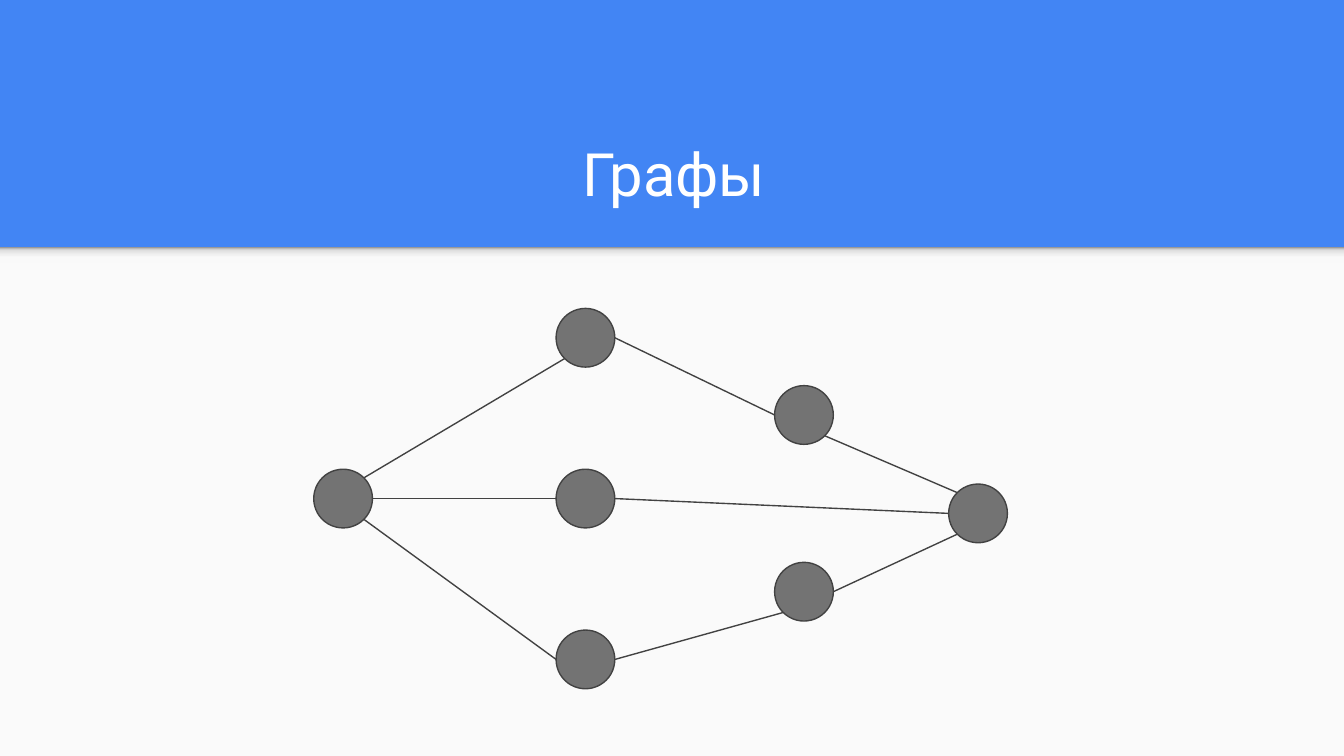
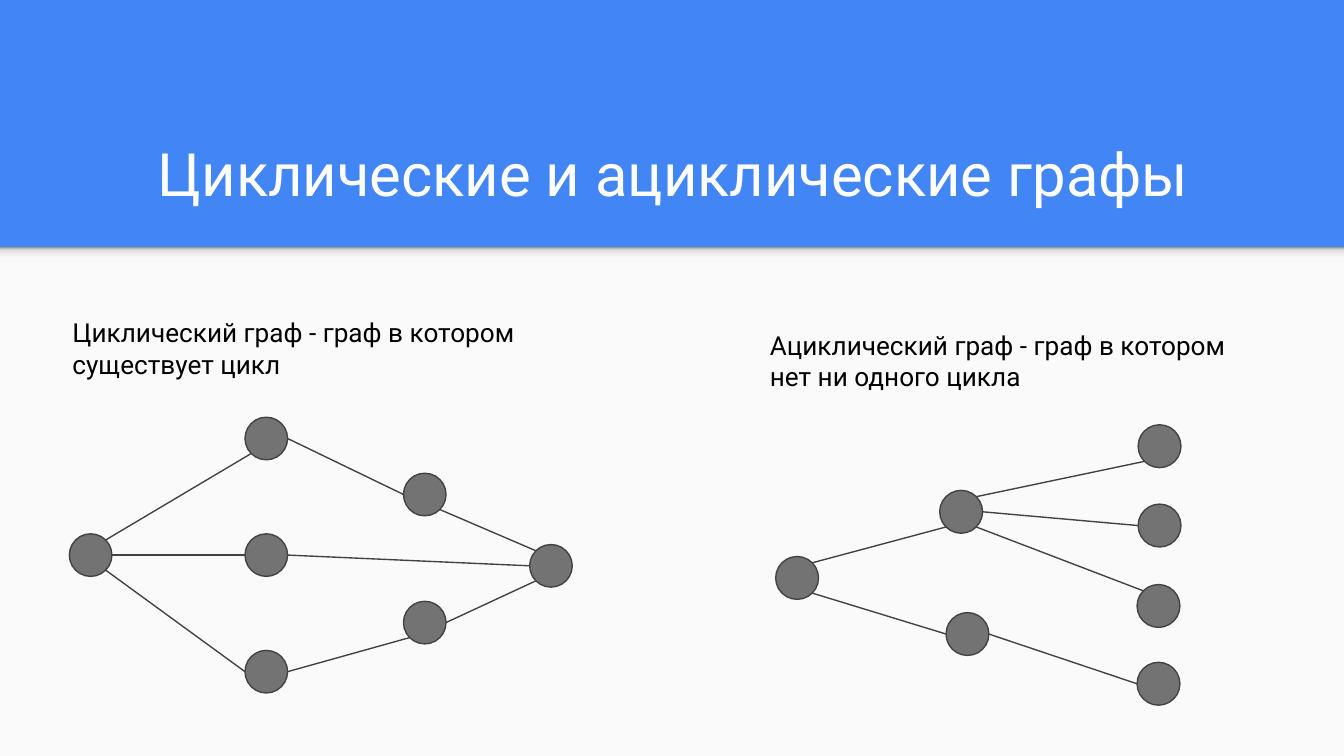
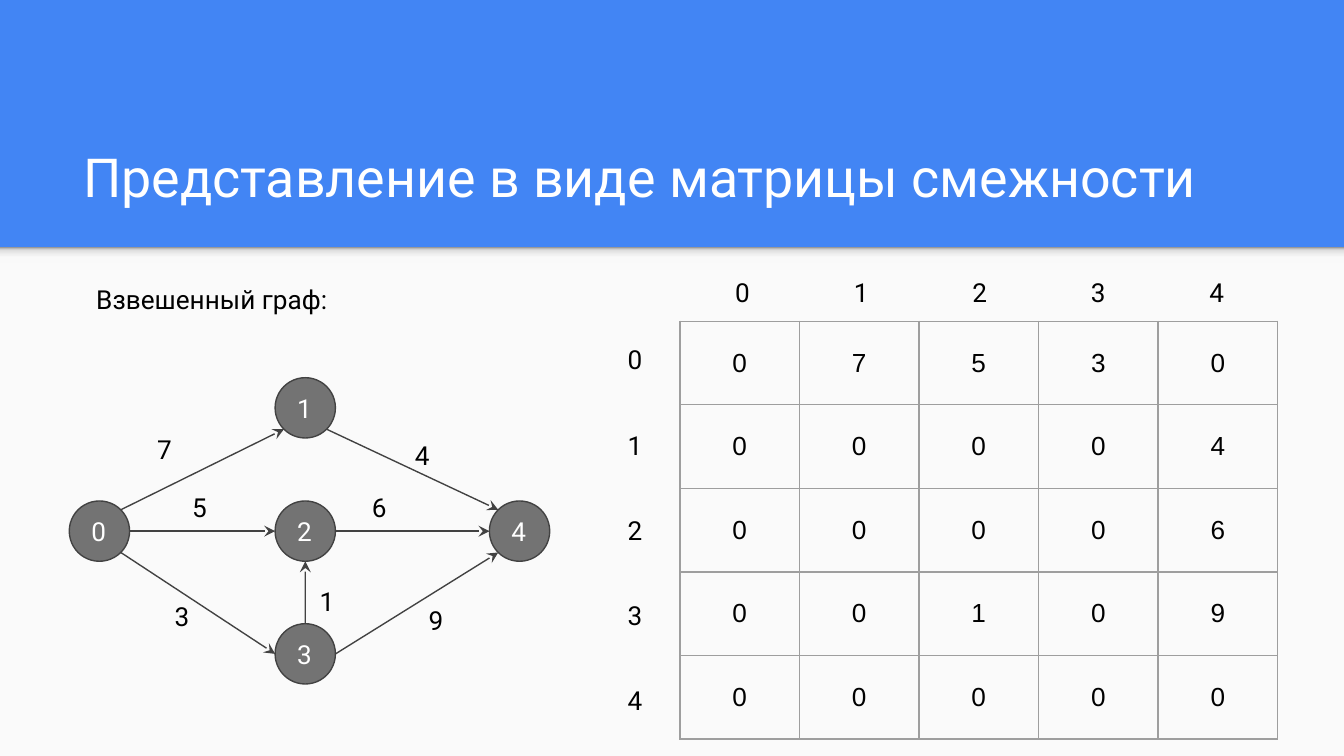
from dataclasses import dataclass
from math import cos, radians, sin

from lxml import etree
from pptx import Presentation
from pptx.dml.color import RGBColor
from pptx.enum.shapes import MSO_CONNECTOR, MSO_SHAPE
from pptx.enum.text import MSO_ANCHOR, MSO_AUTO_SIZE, PP_ALIGN
from pptx.oxml.ns import qn
from pptx.util import Cm, Pt

RECTANGLE, OVAL = MSO_SHAPE.RECTANGLE, MSO_SHAPE.OVAL
STRAIGHT = MSO_CONNECTOR.STRAIGHT
LEFT, CENTER = PP_ALIGN.LEFT, PP_ALIGN.CENTER
TOP, MIDDLE, BOTTOM = MSO_ANCHOR.TOP, MSO_ANCHOR.MIDDLE, MSO_ANCHOR.BOTTOM
NO_AUTOFIT = MSO_AUTO_SIZE.NONE

COLORS = {
    "band": "4285F4", "panel": "FAFAFA", "title": "FFFFFF", "text": "000000",
    "node": "737373", "edge": "424242", "node_text": "FFFFFF", "grid": "9E9E9E",
}
SHADOW_STOPS = [(0, "F9F9F9"), (36, "F9F9F9"), (80, "DEDEDE"), (100, "999999")]
FONT = "Roboto"
WIDTH, HEIGHT, PANEL_TOP = 25.4, 14.29, 4.67
LINE_WIDTH = Pt(0.75)

# Points on a node's rim, in degrees clockwise from the right
SIDES = {"E": 0, "SE": 45, "S": 90, "SW": 135, "W": 180, "NW": 225, "N": 270, "NE": 315}


@dataclass(frozen=True)
class Node:
    """Top left corner of a circle, in cm."""
    x: float
    y: float
    label: str = ""


@dataclass(frozen=True)
class Edge:
    start: int
    start_side: str
    end: int
    end_side: str


@dataclass(frozen=True)
class Label:
    text: str
    x: float
    y: float


# Graph with cycles, relative to its first node
CYCLIC_NODES = [
    Node(0, 0), Node(4.58, -3.04), Node(4.58, 0), Node(4.58, 3.04),
    Node(8.71, -1.58), Node(8.71, 1.76), Node(12, 0.28),
]
CYCLIC_EDGES = [
    Edge(0, "NE", 1, "SW"), Edge(0, "SE", 3, "W"), Edge(0, "E", 2, "W"),
    Edge(1, "E", 4, "W"), Edge(2, "E", 6, "W"), Edge(3, "E", 5, "SW"),
    Edge(4, "SE", 6, "NW"), Edge(5, "E", 6, "SW"),
]

# Graph without cycles
TREE_NODES = [
    Node(14.66, 10.52), Node(17.76, 9.27), Node(17.88, 11.58),
    Node(21.51, 8.03), Node(21.51, 9.53), Node(21.49, 11.05), Node(21.49, 12.52),
]
TREE_EDGES = [
    Edge(0, "NE", 1, "SW"), Edge(0, "SE", 2, "W"), Edge(1, "NE", 3, "SW"),
    Edge(1, "E", 4, "W"), Edge(1, "SE", 5, "NW"), Edge(2, "E", 6, "W"),
]

# Weighted graph and its matrix
WEIGHTED_NODES = [
    Node(1.31, 9.47, "0"), Node(5.2, 7.14, "1"), Node(5.2, 9.47, "2"),
    Node(5.2, 11.79, "3"), Node(9.25, 9.47, "4"),
]
WEIGHTED_EDGES = [
    Edge(0, "E", 2, "W"), Edge(0, "NE", 1, "SW"), Edge(1, "SE", 4, "NW"),
    Edge(2, "E", 4, "W"), Edge(0, "SE", 3, "W"), Edge(3, "N", 2, "S"),
    Edge(3, "E", 4, "SW"),
]
WEIGHTS = [
    Label("7", 2.72, 7.95), Label("4", 7.59, 8.05), Label("6", 6.78, 9.04),
    Label("5", 3.38, 9.04), Label("3", 3.05, 11.1), Label("1", 5.79, 10.82),
    Label("9", 7.85, 11.18),
]
MATRIX = [
    [0, 7, 5, 3, 0],
    [0, 0, 0, 0, 4],
    [0, 0, 0, 0, 6],
    [0, 0, 1, 0, 9],
    [0, 0, 0, 0, 0],
]


def rgb(name: str) -> RGBColor:
    return RGBColor.from_string(COLORS[name])


def write(frame, text: str, *, size: float = 14, font: str = FONT,
          color: str = "text", align=LEFT, anchor=TOP) -> None:
    """Fill a text frame with one formatted paragraph."""
    frame.word_wrap = True
    frame.auto_size = NO_AUTOFIT
    frame.vertical_anchor = anchor
    frame.margin_left = frame.margin_right = Cm(0.25)
    frame.margin_top = frame.margin_bottom = Cm(0.25)
    paragraph = frame.paragraphs[0]
    paragraph.alignment = align
    run = paragraph.add_run()
    run.text = text
    run.font.size = Pt(size)
    run.font.name = font
    run.font.color.rgb = rgb(color)


def add_label(slide, text: str, x: float, y: float,
              width: float = 1.09, height: float = 0.91, align=LEFT) -> None:
    box = slide.shapes.add_textbox(Cm(x), Cm(y), Cm(width), Cm(height))
    write(box.text_frame, text, align=align)


def add_layout_rectangle(layout, slide, height: float, index: int):
    """Draw a full-width rectangle and place it behind the layout's parts."""
    rectangle = slide.shapes.add_shape(
        RECTANGLE, 0, Cm(PANEL_TOP), Cm(WIDTH), Cm(height))
    rectangle.shadow.inherit = False
    rectangle.line.fill.background()
    layout.shapes.element.insert(index, rectangle.element)
    return rectangle


def style_layout(prs, layout, slide) -> None:
    """Set the blue band, the light panel, its shadow and the title's place."""
    background = prs.slide_master.background.fill
    background.solid()
    background.fore_color.rgb = rgb("band")

    panel = add_layout_rectangle(layout, slide, HEIGHT - PANEL_TOP, 2)
    panel.fill.solid()
    panel.fill.fore_color.rgb = rgb("panel")

    shadow = add_layout_rectangle(layout, slide, 0.3, 3)
    shadow.fill.gradient()
    shadow.fill.gradient_angle = 90
    stops = shadow.element.spPr.find(".//" + qn("a:gsLst"))
    stops.clear()
    for percent, color in SHADOW_STOPS:
        stop = etree.SubElement(stops, qn("a:gs"), pos=str(percent * 1000))
        etree.SubElement(stop, qn("a:srgbClr"), val=color)

    title = layout.placeholders[0]
    title.left, title.top = Cm(1.32), Cm(2.06)
    title.width, title.height = Cm(22.83), Cm(2.13)


def rim_point(node: Node, side: str, size: float) -> tuple[Cm, Cm]:
    angle, radius = radians(SIDES[side]), size / 2
    return (Cm(node.x + radius * (1 + cos(angle))),
            Cm(node.y + radius * (1 + sin(angle))))


def draw_graph(shapes, nodes: list[Node], edges: list[Edge], size: float,
               directed: bool = False) -> None:
    for node in nodes:
        circle = shapes.add_shape(OVAL, Cm(node.x), Cm(node.y), Cm(size), Cm(size))
        circle.shadow.inherit = False
        circle.fill.solid()
        circle.fill.fore_color.rgb = rgb("node")
        circle.line.color.rgb = rgb("edge")
        circle.line.width = LINE_WIDTH
        if node.label:
            write(circle.text_frame, node.label, color="node_text", anchor=MIDDLE)
    for edge in edges:
        link = shapes.add_connector(
            STRAIGHT,
            *rim_point(nodes[edge.start], edge.start_side, size),
            *rim_point(nodes[edge.end], edge.end_side, size))
        link.line.color.rgb = rgb("edge")
        link.line.width = LINE_WIDTH
        properties = link.element.spPr
        if directed:
            etree.SubElement(properties.find(qn("a:ln")), qn("a:tailEnd"), type="stealth")
        etree.SubElement(properties, qn("a:effectLst"))


def draw_cyclic_graph(slide, x: float, y: float, scale: float = 1) -> None:
    nodes = [Node(x + node.x * scale, y + node.y * scale) for node in CYCLIC_NODES]
    draw_graph(slide.shapes.add_group_shape().shapes, nodes, CYCLIC_EDGES, 1.11 * scale)


def add_borders(cell) -> None:
    properties = cell._tc.get_or_add_tcPr()
    for index, side in enumerate(("lnL", "lnR", "lnT", "lnB")):
        border = etree.Element(qn("a:" + side), w=str(LINE_WIDTH))
        fill = etree.SubElement(border, qn("a:solidFill"))
        etree.SubElement(fill, qn("a:srgbClr"), val=COLORS["grid"])
        properties.insert(index, border)


def draw_matrix(slide) -> None:
    count = len(MATRIX)
    column_width, row_height = 2.26, 1.58
    table = slide.shapes.add_table(
        count, count, Cm(12.85), Cm(6.07),
        Cm(column_width * count), Cm(row_height * count)).table
    table.first_row = table.horz_banding = False
    for column in table.columns:
        column.width = Cm(column_width)
    for row, values in enumerate(MATRIX):
        table.rows[row].height = Cm(row_height)
        for column, value in enumerate(values):
            cell = table.cell(row, column)
            write(cell.text_frame, str(value), font="Arial", align=CENTER)
            cell.vertical_anchor = MIDDLE
            cell.margin_left = cell.margin_right = Cm(0.25)
            cell.margin_top = cell.margin_bottom = Cm(0.25)
            cell.fill.background()
            add_borders(cell)
    # Node numbers beside and above the matrix
    for number in range(count):
        add_label(slide, str(number), 11.61, 6.25 + 1.61 * number, height=1.12)
        add_label(slide, str(number), 13.49 + 2.24 * number, 4.98,
                  height=1.12, align=CENTER)


def add_slide(prs, layout, title: str, size: float = 32, align=CENTER):
    slide = prs.slides.add_slide(layout)
    write(slide.shapes.title.text_frame, title, size=size, color="title",
          align=align, anchor=BOTTOM)
    return slide


def main() -> None:
    prs = Presentation()
    prs.slide_width, prs.slide_height = Cm(WIDTH), Cm(HEIGHT)
    layout = prs.slide_layouts[5]

    # Graphs
    graphs = add_slide(prs, layout, "Графы")
    style_layout(prs, layout, graphs)
    draw_cyclic_graph(graphs, 5.93, 8.87)

    # Cyclic and acyclic graphs
    kinds = add_slide(prs, layout, "Циклические и ациклические графы")
    draw_cyclic_graph(kinds, 1.31, 10.09, scale=0.725)
    add_label(kinds, "Циклический граф - граф в котором существует цикл",
              1.12, 5.74, 9.86, 1.55)
    draw_graph(kinds.shapes, TREE_NODES, TREE_EDGES, 0.81)
    add_label(kinds, "Ациклический граф - граф в котором нет ни одного цикла",
              14.3, 5.97, 9.86, 1.55)

    # Adjacency matrix
    adjacency = add_slide(prs, layout, "Представление в виде матрицы смежности",
                          size=28.8, align=LEFT)
    draw_graph(adjacency.shapes.add_group_shape().shapes,
               WEIGHTED_NODES, WEIGHTED_EDGES, 1.14, directed=True)
    draw_matrix(adjacency)
    add_label(adjacency, "Взвешенный граф:", 1.57, 5.11, 8.08, 1.27)
    for weight in WEIGHTS:
        add_label(adjacency, weight.text, weight.x, weight.y)

    prs.save("out.pptx")


if __name__ == "__main__":
    main()
